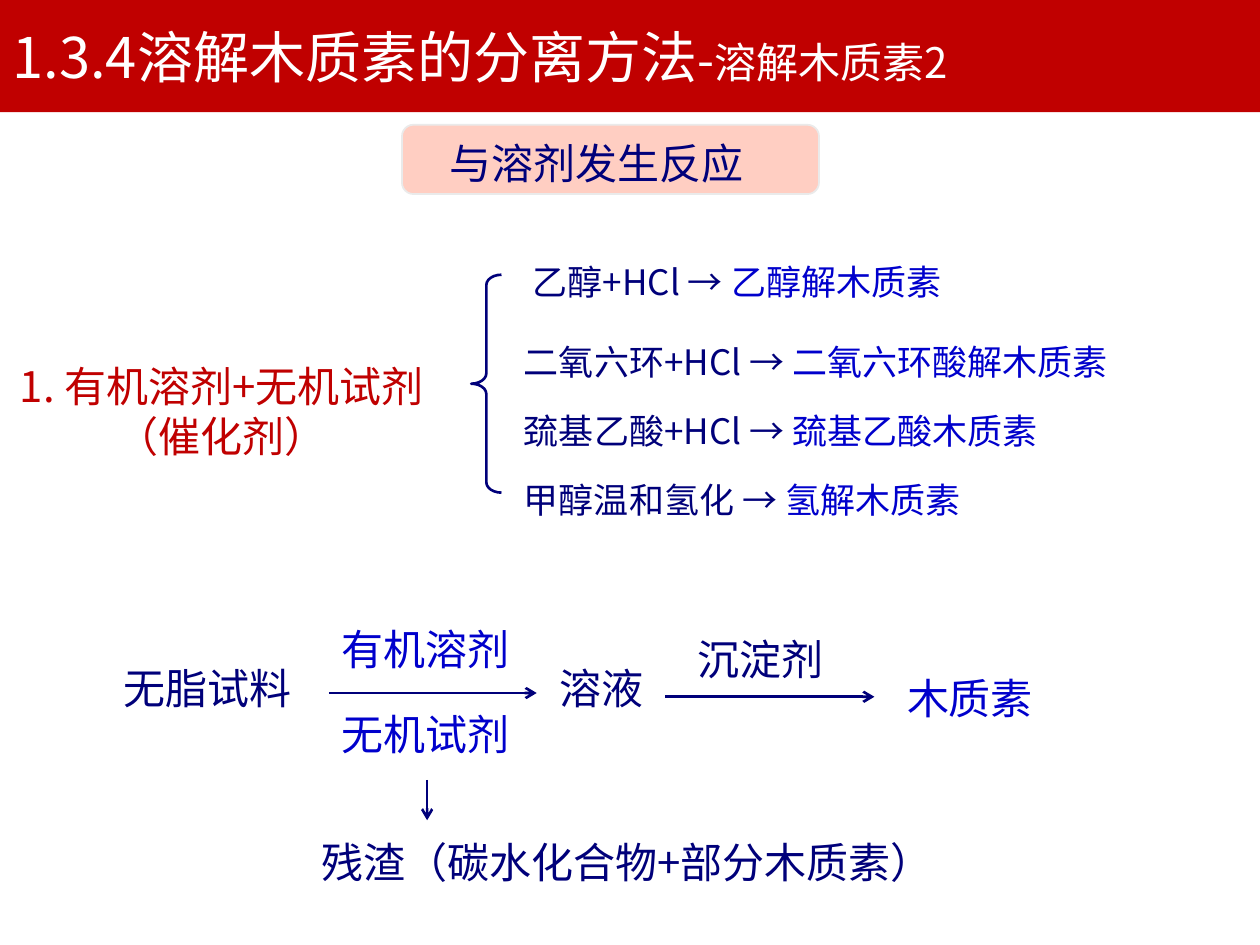
from lxml import etree
from pptx import Presentation
from pptx.dml.color import RGBColor
from pptx.enum.shapes import MSO_CONNECTOR, MSO_SHAPE
from pptx.enum.text import MSO_ANCHOR, MSO_AUTO_SIZE, PP_ALIGN
from pptx.oxml.ns import qn
from pptx.util import Inches, Pt

ROUNDED = MSO_SHAPE.ROUNDED_RECTANGLE
RECTANGLE = MSO_SHAPE.RECTANGLE
BRACE = MSO_SHAPE.RIGHT_BRACE
STRAIGHT = MSO_CONNECTOR.STRAIGHT
TOP = MSO_ANCHOR.TOP
GROW = MSO_AUTO_SIZE.SHAPE_TO_FIT_TEXT
LEFT, CENTER = PP_ALIGN.LEFT, PP_ALIGN.CENTER

FONT = "Noto Sans CJK SC"
COLORS = {
    "red": "C00000",
    "white": "FFFFFF",
    "pink": "FFCEC2",
    "grey": "EAEAEA",
    "navy": "00007A",
    "blue": "0000CC",
}


def color(name):
    return RGBColor.from_string(COLORS[name])


class SlideBuilder:
    def __init__(self, slide):
        self.slide = slide
        self.font = FONT
        self.line_width = Pt(1.5)

    def fill_text(self, shape, paragraphs, align=LEFT):
        frame = shape.text_frame
        frame.word_wrap = True
        frame.auto_size = GROW
        frame.vertical_anchor = TOP
        for index, runs in enumerate(paragraphs):
            paragraph = frame.add_paragraph() if index else frame.paragraphs[0]
            paragraph.alignment = align
            for text, size, color_name in runs:
                run = paragraph.add_run()
                run.text = text
                run.font.size = Pt(size)
                run.font.name = self.font
                run.font.color.rgb = color(color_name)
                east_asian = etree.SubElement(run.font._element, qn("a:ea"))
                east_asian.set("typeface", self.font)

    def title(self, box, runs, behind):
        title = self.slide.shapes.title
        title.left, title.top, title.width, title.height = map(Inches, box)
        self.fill_text(title, [runs])
        behind.element.addnext(title.element)

    def text(self, box, paragraphs, align=LEFT):
        self.fill_text(self.slide.shapes.add_textbox(*map(Inches, box)), paragraphs, align)

    def label(self, box, text, color_name="navy"):
        self.text(box, [[(text, 24, color_name)]])

    def shape(self, kind, box, fill=None, line=None, width=None):
        shape = self.slide.shapes.add_shape(kind, *map(Inches, box))
        shape.shadow.inherit = False
        if fill:
            shape.fill.solid()
            shape.fill.fore_color.rgb = color(fill)
        else:
            shape.fill.background()
        if line:
            shape.line.color.rgb = color(line)
            shape.line.width = width or self.line_width
        else:
            shape.line.fill.background()
        return shape

    def arrow(self, start, end):
        connector = self.slide.shapes.add_connector(STRAIGHT, *map(Inches, start + end))
        connector.line.color.rgb = color("navy")
        connector.line.width = self.line_width
        line = connector.line._get_or_add_ln()
        etree.SubElement(line, qn("a:tailEnd")).set("type", "arrow")
        etree.SubElement(connector.element.spPr, qn("a:effectLst"))


def main():
    presentation = Presentation()
    presentation.slide_width = Inches(10)
    presentation.slide_height = Inches(7.5)
    builder = SlideBuilder(presentation.slides.add_slide(presentation.slide_layouts[5]))

    builder.shape(ROUNDED, (3.19, 0.99, 3.31, 0.55), "pink", "grey", Pt(1))
    band = builder.shape(RECTANGLE, (0, 0, 10, 0.89), "red")
    builder.title(
        (0, 0.13, 9.88, 0.64),
        [
            ("1.3.4溶解木质素的分离方法", 32, "white"),
            ("-", 28, "white"),
            ("溶解木质素2", 24, "white"),
        ],
        band,
    )
    builder.label((3.47, 1.04, 2.56, 0.51), "与溶剂发生反应")

    builder.text(
        (0, 2.81, 3.52, 0.91),
        [[("1. 有机溶剂+无机试剂", 24, "red")], [("（催化剂）", 24, "red")]],
        CENTER,
    )
    reactions = [
        (4.13, 2.02, 3.58, "乙醇+HCl → ", "乙醇解木质素"),
        (4.06, 2.65, 4.98, "二氧六环+HCl → ", "二氧六环酸解木质素"),
        (4.06, 3.2, 4.42, "巯基乙酸+HCl → ", "巯基乙酸木质素"),
        (4.06, 3.75, 3.73, "甲醇温和氢化 → ", "氢解木质素"),
    ]
    for left, top, width, reagent, product in reactions:
        builder.text(
            (left, top, width, 0.44),
            [[(reagent, 20, "navy"), (product, 20, "blue")]],
        )
    brace = builder.shape(BRACE, (3.74, 2.18, 0.24, 1.73), line="navy")
    brace.rotation = 180
    brace.adjustments[0] = 0.34

    flow_labels = [
        (0.88, 5.21, 1.56, "无脂试料", "navy"),
        (2.61, 4.9, 1.55, "有机溶剂", "blue"),
        (2.61, 5.57, 1.55, "无机试剂", "blue"),
        (2.45, 6.59, 5.16, "残渣（碳水化合物+部分木质素）", "navy"),
        (4.34, 5.21, 0.88, "溶液", "navy"),
        (5.44, 4.98, 1.21, "沉淀剂", "navy"),
        (7.1, 5.29, 1.21, "木质素", "blue"),
    ]
    for left, top, width, text, color_name in flow_labels:
        builder.label((left, top, width, 0.51), text, color_name)

    builder.arrow((2.61, 5.5), (4.26, 5.5))
    builder.arrow((5.28, 5.53), (6.94, 5.53))
    builder.arrow((3.39, 6.19), (3.39, 6.51))

    presentation.save("out.pptx")


if __name__ == "__main__":
    main()
